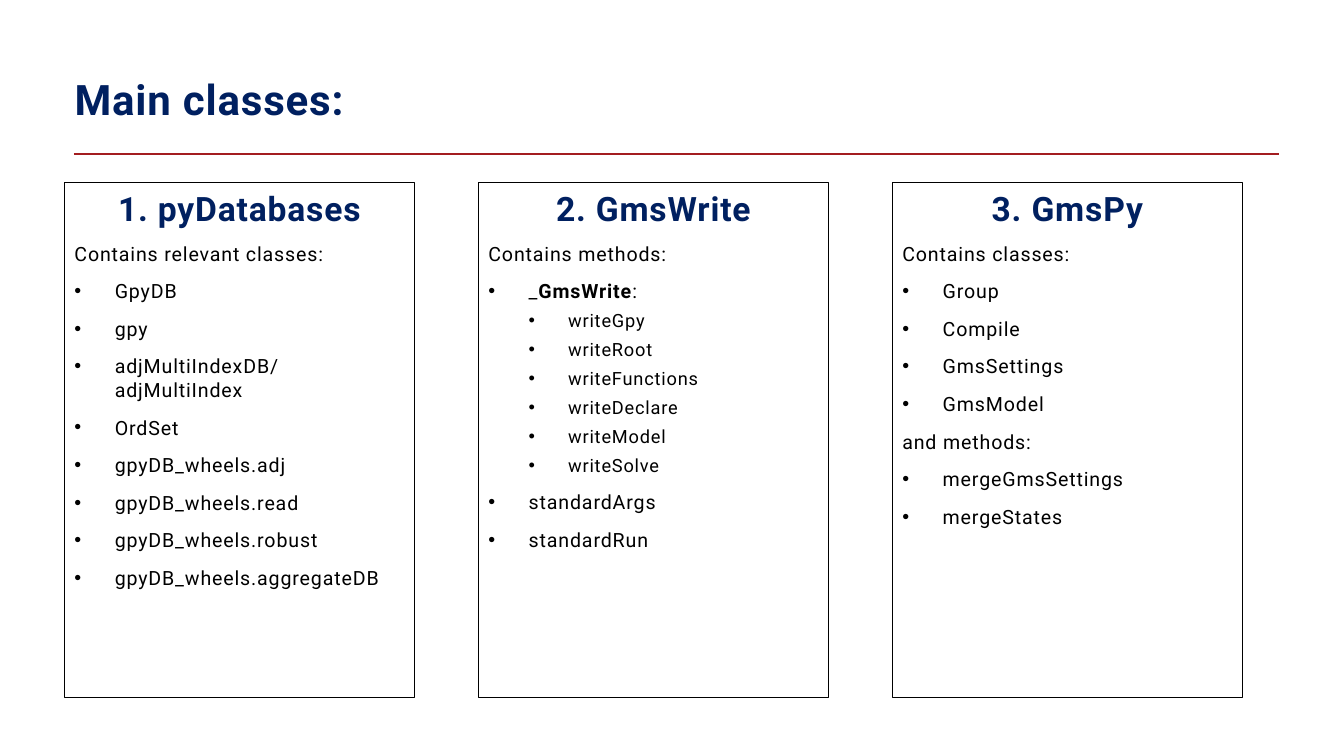
from dataclasses import dataclass

from lxml.etree import SubElement
from pptx import Presentation
from pptx.dml.color import RGBColor
from pptx.enum.shapes import MSO_CONNECTOR, MSO_SHAPE
from pptx.enum.text import MSO_ANCHOR, MSO_AUTO_SIZE, PP_ALIGN
from pptx.oxml.ns import qn
from pptx.util import Emu, Inches, Pt

WIDTH, HEIGHT = Inches(13.33), Inches(7.5)
NAVY, BLACK, RED = "002060", "000000", "A31D20"

# Percentages of the slide's width and height
MARGIN, COLUMN_WIDTH, COLUMN_PITCH = 4.8, 26.03, 30.8
COLUMN_TOP, COLUMN_HEIGHT = 24.13, 68.13


@dataclass(frozen=True)
class Style:
    size: float
    color: str = BLACK
    bold: bool = False
    space_before: float = 10
    align: PP_ALIGN = PP_ALIGN.LEFT
    level: int = 0
    margin: float = 0
    hanging: float = 0


TITLE = Style(30, NAVY, bold=True)
HEADING = Style(24, NAVY, bold=True, align=PP_ALIGN.CENTER)
BODY = Style(14)
BULLET = Style(14, margin=0.4, hanging=0.4)
SUB_BULLET = Style(13, space_before=5, level=1, margin=0.79, hanging=0.39)


@dataclass(frozen=True)
class Entry:
    """One paragraph; text between asterisks is bold."""
    text: str
    style: Style = BULLET


def bullets(*names: str, style: Style = BULLET) -> list[Entry]:
    return [Entry(name, style) for name in names]


COLUMNS = [
    [
        Entry("1. pyDatabases", HEADING),
        Entry("Contains relevant classes:", BODY),
        *bullets("GpyDB", "gpy", "adjMultiIndexDB/ adjMultiIndex", "OrdSet",
                 "gpyDB_wheels.adj", "gpyDB_wheels.read",
                 "gpyDB_wheels.robust", "gpyDB_wheels.aggregateDB"),
    ],
    [
        Entry("2. GmsWrite", HEADING),
        Entry("Contains methods:", BODY),
        Entry("_*GmsWrite*:"),
        *bullets("writeGpy", "writeRoot", "writeFunctions", "writeDeclare",
                 "writeModel", "writeSolve", style=SUB_BULLET),
        *bullets("standardArgs", "standardRun"),
    ],
    [
        Entry("3. GmsPy", HEADING),
        Entry("Contains classes:", BODY),
        *bullets("Group", "Compile", "GmsSettings", "GmsModel"),
        Entry("and methods:", BODY),
        *bullets("mergeGmsSettings", "mergeStates"),
    ],
]


def across(percent: float) -> Emu:
    return Emu(round(WIDTH * percent / 100))


def down(percent: float) -> Emu:
    return Emu(round(HEIGHT * percent / 100))


def rgb(color: str) -> RGBColor:
    return RGBColor.from_string(color)


def write_paragraph(paragraph, entry: Entry, first: bool) -> None:
    style = entry.style
    paragraph.alignment = style.align
    paragraph.level = style.level
    paragraph.space_before = Pt(0 if first else style.space_before)
    properties = paragraph._p.get_or_add_pPr()
    properties.set("marL", str(Inches(style.margin)))
    properties.set("indent", str(-Inches(style.hanging)))
    if style.hanging:
        SubElement(properties, qn("a:buFont"), typeface="Arial")
        SubElement(properties, qn("a:buChar"), char="•")
    else:
        SubElement(properties, qn("a:buNone"))

    font = paragraph.font
    font.name, font.size, font.bold = "Roboto", Pt(style.size), style.bold
    font.color.rgb = rgb(style.color)
    for index, text in enumerate(entry.text.split("*")):
        span = paragraph.add_run()
        span.text = text
        span._r.get_or_add_rPr().set("spc", "60")
        if index % 2:
            span.font.bold = True


def write_entries(frame, entries: list[Entry]) -> None:
    frame.word_wrap = True
    frame.auto_size = MSO_AUTO_SIZE.NONE
    frame.vertical_anchor = MSO_ANCHOR.TOP
    for index, entry in enumerate(entries):
        paragraph = frame.add_paragraph() if index else frame.paragraphs[0]
        write_paragraph(paragraph, entry, first=index == 0)


def add_title(page) -> None:
    title = page.shapes.title
    title.left, title.top = across(MARGIN), down(9.07)
    title.width, title.height = across(90.32), down(12.67)
    write_entries(title.text_frame, [Entry("Main classes:", TITLE)])


def add_rule(page) -> None:
    rule = page.shapes.add_connector(MSO_CONNECTOR.STRAIGHT, across(5.5),
                                     down(20.4), across(95.2), down(20.4))
    rule.line.color.rgb = rgb(RED)
    rule.line.width = Pt(1.5)
    SubElement(rule._element.spPr, qn("a:effectLst"))


def add_column(page, number: int, entries: list[Entry]) -> None:
    box = page.shapes.add_shape(
        MSO_SHAPE.RECTANGLE, across(MARGIN + number * COLUMN_PITCH),
        down(COLUMN_TOP), across(COLUMN_WIDTH), down(COLUMN_HEIGHT))
    box.shadow.inherit = False
    box.fill.background()
    box.line.color.rgb = rgb(BLACK)
    box.line.width = Pt(0.75)
    write_entries(box.text_frame, entries)


def main() -> None:
    deck = Presentation()
    deck.slide_width, deck.slide_height = WIDTH, HEIGHT
    page = deck.slides.add_slide(deck.slide_layouts.get_by_name("Title Only"))
    add_title(page)
    add_rule(page)
    for number, entries in enumerate(COLUMNS):
        add_column(page, number, entries)
    deck.save("out.pptx")


if __name__ == "__main__":
    main()
